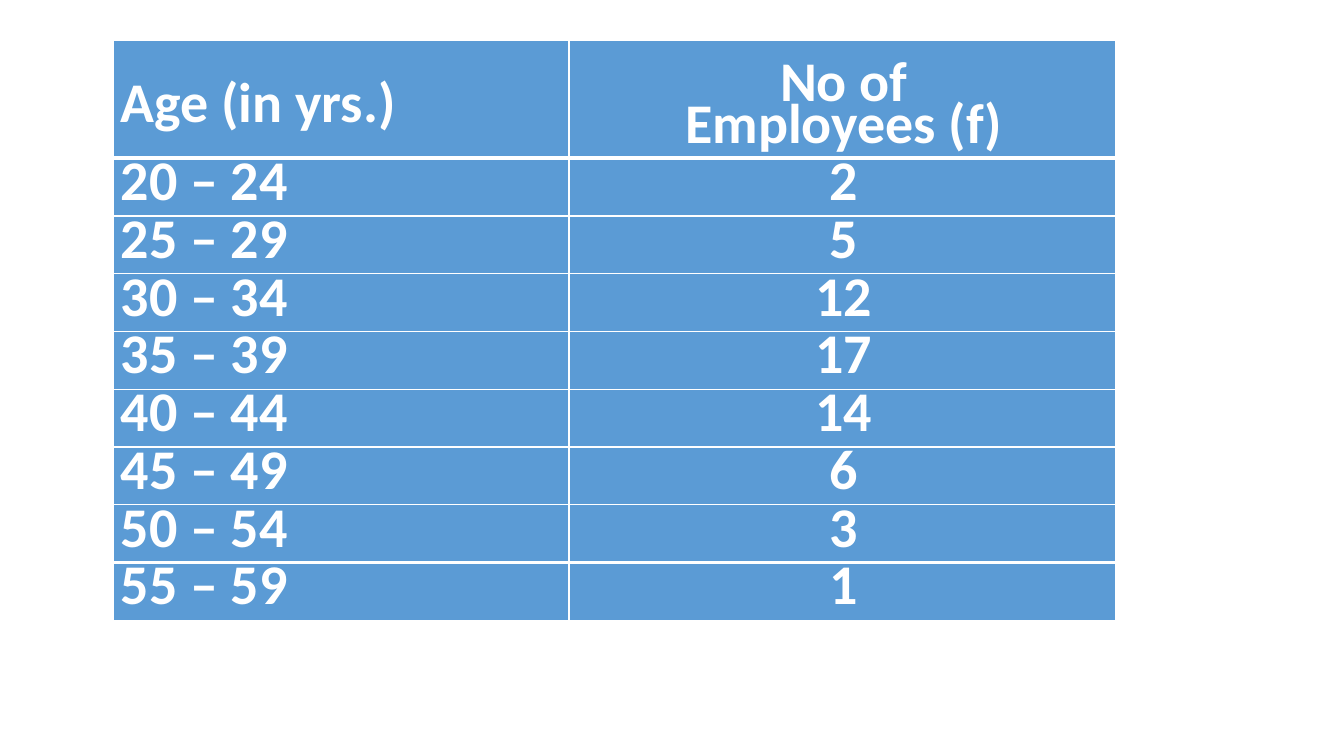
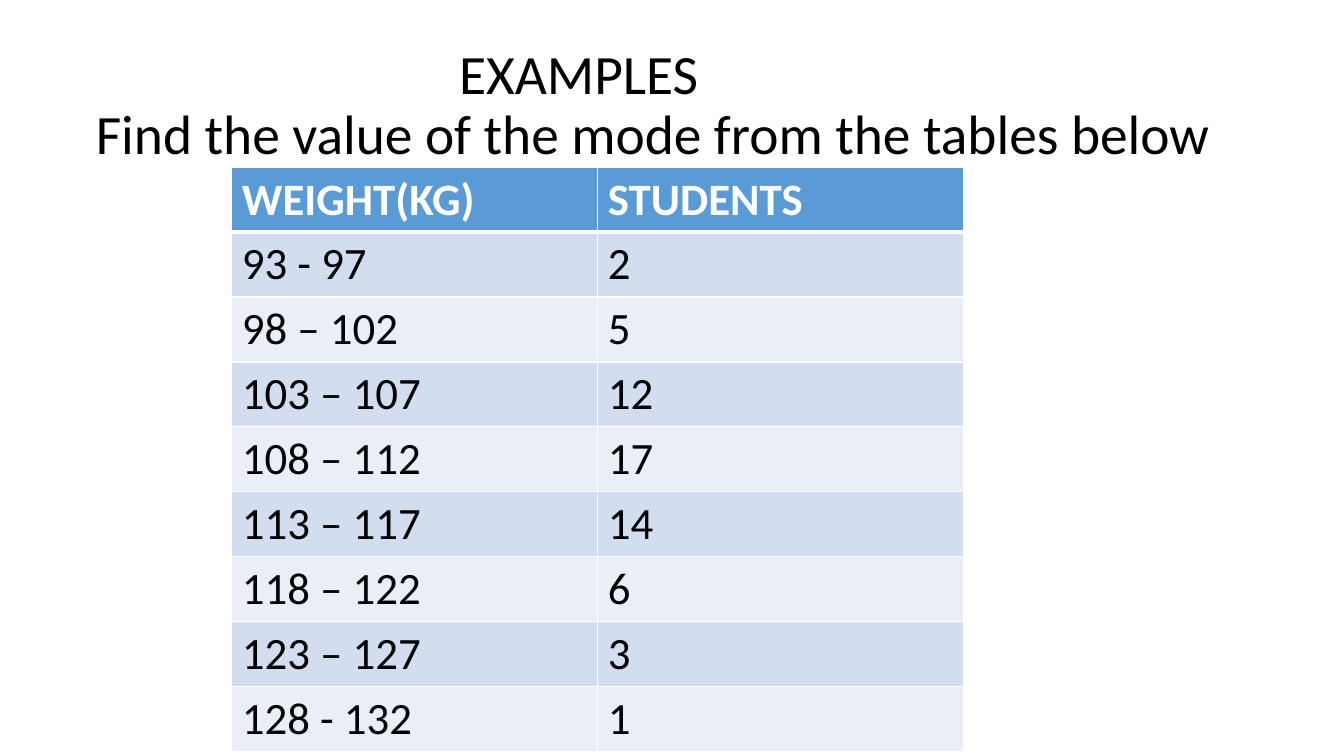
from lxml import etree
from pptx import Presentation
from pptx.dml.color import RGBColor
from pptx.enum import text
from pptx.oxml import ns
from pptx.util import Pt

COLORS = {"white": "FFFFFF", "black": "000000", "blue": "5B9BD5",
          "band": "D2DEEF", "pale": "EAEFF7"}
FONT = "Calibri"
TITLE_ONLY, BLANK = 5, 6
THIN, THICK = 1, 3
LEFT, CENTER = text.PP_ALIGN.LEFT, text.PP_ALIGN.CENTER

AGES = [
    ("Age (in yrs.)", "No of\nEmployees (f)"),
    ("20 – 24", "2"), ("25 – 29", "5"), ("30 – 34", "12"), ("35 – 39", "17"),
    ("40 – 44", "14"), ("45 – 49", "6"), ("50 – 54", "3"), ("55 – 59", "1"),
]
AGE_HEADER_TOPS = (39.5, 25)

HEADING = "EXAMPLES"
TASK = "Find the value of the mode from the tables below"
WEIGHTS = [
    ("WEIGHT(KG)", "STUDENTS"),
    ("93 - 97", "2"), ("98 – 102", "5"), ("103 – 107", "12"),
    ("108 – 112", "17"), ("113 – 117", "14"), ("118 – 122", "6"),
    ("123 – 127", "3"), ("128 - 132", "1"),
]


def style_paragraph(paragraph, size, color, bold=False, align=LEFT):
    paragraph.alignment = align
    for run in paragraph.runs:
        font = run.font
        font.name, font.size, font.bold = FONT, Pt(size), bold
        font.color.rgb = RGBColor.from_string(COLORS[color])


def set_borders(cell, top, bottom):
    """White borders; top and bottom are widths in points."""
    properties = cell._tc.get_or_add_tcPr()
    for side, width in (("L", THIN), ("R", THIN), ("T", top), ("B", bottom)):
        line = etree.SubElement(properties, ns.qn("a:ln" + side), w=str(Pt(width)))
        fill = etree.SubElement(line, ns.qn("a:solidFill"))
        etree.SubElement(fill, ns.qn("a:srgbClr"), val=COLORS["white"])


def add_grid(slide, rows, left, top, widths, heights, thick_lines, fills):
    """Add a table; thick_lines holds the rows that have a thick line above."""
    table = slide.shapes.add_table(
        len(rows), len(widths), Pt(left), Pt(top),
        Pt(sum(widths)), Pt(sum(heights))).table
    for column, width in zip(table.columns, widths):
        column.width = Pt(width)
    for r, row in enumerate(rows):
        table.rows[r].height = Pt(heights[r])
        for c, content in enumerate(row):
            cell = table.cell(r, c)
            set_borders(cell, *(THICK if edge in thick_lines else THIN
                                for edge in (r, r + 1)))
            cell.fill.solid()
            cell.fill.fore_color.rgb = RGBColor.from_string(COLORS[fills[r]])
            cell.text_frame.text = content
    return table


def add_age_slide(deck):
    slide = deck.slides.add_slide(deck.slide_layouts[BLANK])
    body = len(AGES) - 1
    table = add_grid(slide, AGES, 81, 29, (325.4, 390.6),
                     [84] + [41.25] * body, {1, body}, ["blue"] * len(AGES))
    for r in range(len(AGES)):
        for c, (indent, align) in enumerate(((5.4, LEFT), (2, CENTER))):
            cell = table.cell(r, c)
            cell.margin_left = Pt(indent)
            cell.margin_right = cell.margin_bottom = 0
            cell.margin_top = Pt(0 if r else AGE_HEADER_TOPS[c])
            for paragraph in cell.text_frame.paragraphs:
                paragraph.line_spacing = Pt(41 if r else 29.5)
                style_paragraph(paragraph, 40, "white", True, align)


def add_weight_slide(deck):
    slide = deck.slides.add_slide(deck.slide_layouts[TITLE_ONLY])
    title = slide.shapes.title
    title.left, title.top, title.width, title.height = map(Pt, (61.2, 24, 828, 104.4))
    frame = title.text_frame
    frame.vertical_anchor = text.MSO_ANCHOR.MIDDLE
    frame.auto_size = text.MSO_AUTO_SIZE.NONE
    paragraph = frame.paragraphs[0]
    paragraph.text = HEADING + "\v" + TASK
    paragraph.line_spacing = 0.9
    style_paragraph(paragraph, 39.6, "black")
    properties = paragraph._p.get_or_add_pPr()
    properties.set("marL", "0")
    properties.set("indent", str(Pt(259.5)))

    fills = ["blue"] + [("pale", "band")[r % 2] for r in range(1, len(WEIGHTS))]
    table = add_grid(slide, WEIGHTS, 165.6, 119.5, (261.4, 261.4),
                     [46.3] * len(WEIGHTS), {1}, fills)
    for r in range(len(WEIGHTS)):
        for cell in table.rows[r].cells:
            style_paragraph(cell.text_frame.paragraphs[0], 32,
                            "black" if r else "white", r == 0)


def main():
    deck = Presentation()
    deck.slide_width, deck.slide_height = Pt(960), Pt(540)
    add_age_slide(deck)
    add_weight_slide(deck)
    deck.save("out.pptx")


if __name__ == "__main__":
    main()
